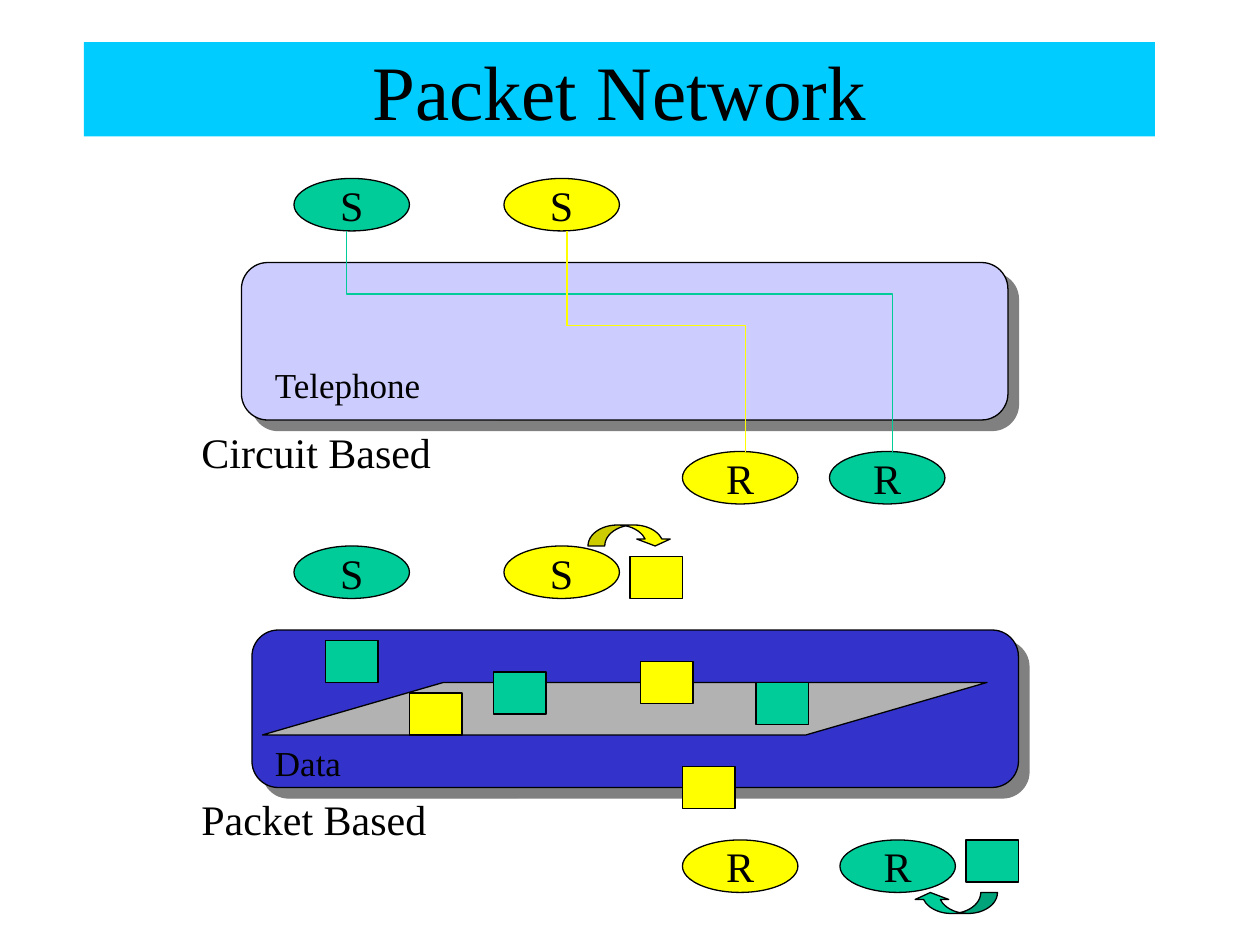
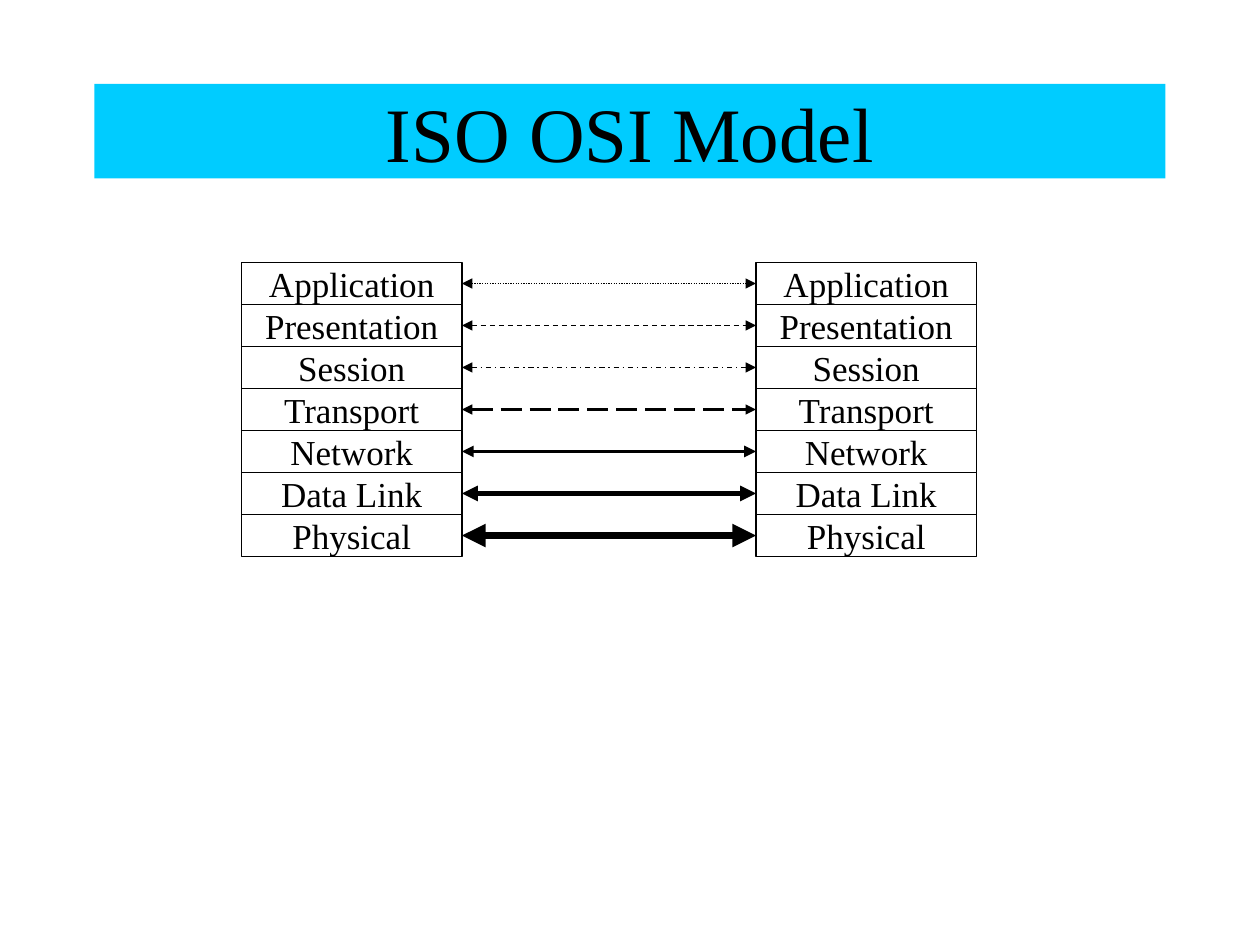
from lxml import etree
from pptx import Presentation, util as u
from pptx.dml.color import RGBColor
from pptx.enum import dml, shapes, text
from pptx.oxml.ns import qn

GRID = u.Inches(1) // 12  # all places and sizes below are in grid squares
COLS, ROWS = 120, 90
FONT = "Times New Roman"
COLORS = dict(band="00CCFF", green="00CC99", yellow="FFFF00", telephone="CCCCFF",
              data="3333CC", gray="B2B2B2", shadow="808080", white="FFFFFF", black="000000")
SHAPE, DASH = shapes.MSO_SHAPE, dml.MSO_LINE
TITLE, NODE, PACKET, LAYER, ARROW = (102, 9), (11, 5), (5, 4), (21, 4), (8, 2)

# Slide 1
PANELS = [("data", 24, 60, 73, 15), ("telephone", 23, 25, 73, 15)]
NODES = {"S": [("green", 28, 17), ("yellow", 48, 17), ("green", 28, 52), ("yellow", 48, 52)],
         "R": [("yellow", 65, 43), ("green", 79, 43), ("yellow", 65, 80), ("green", 80, 80)]}
CIRCUITS = [("green", 33, 28, 85), ("yellow", 54, 31, 71)]  # start column, bend row, end column
CIRCUIT_TOP, CIRCUIT_BOTTOM = 22, 43
CHANNEL = (25, 65, 69, 5)
PACKETS = {"green": [(92, 80), (31, 61), (47, 64), (72, 65)],
           "yellow": [(65, 73), (60, 53), (39, 66), (61, 63)]}
LABELS = [("Circuit Based", 18, 40, 26, 24), ("Packet Based", 18, 75, 26, 24),
          ("Telephone", 25, 34, 18, 20), ("Data", 25, 70, 10, 20)]
SEND_ARROWS = [("yellow", 56, 50, 0), ("green", 87, 85, 180)]  # last: rotation

# Slide 2: layer, line width, dash
LAYERS = [("Application", 0.75, DASH.ROUND_DOT), ("Presentation", 0.75, DASH.DASH),
          ("Session", 0.75, DASH.DASH_DOT), ("Transport", 1.5, DASH.LONG_DASH),
          ("Network", 2.25, None), ("Data Link", 3, None), ("Physical", 4.5, None)]
STACK_COLUMNS, STACK_TOP = (23, 72), 25


def rgb(name):
    return RGBColor.from_string(COLORS[name])


def grid(*squares):
    return [n * GRID for n in squares]


def write(sp, words, size, align=text.PP_ALIGN.CENTER, anchor=text.MSO_ANCHOR.MIDDLE, wrap=False):
    tf = sp.text_frame
    tf.word_wrap, tf.vertical_anchor = wrap, anchor
    p = tf.paragraphs[0]
    p.alignment = align
    r = p.add_run()
    r.text = words
    for key, value in dict(name=FONT, size=u.Pt(size)).items():
        setattr(r.font, key, value)
    r.font.color.rgb = rgb("black")


def stroke(line, color="black", width=0.75):
    line.color.rgb = rgb(color)
    line.width = u.Pt(width)


def add_block(s, kind, color, x, y, w, h, outlined=True, adjust=()):
    sp = s.shapes.add_shape(kind, *grid(x, y, w, h))
    sp.shadow.inherit = False
    sp.fill.solid()
    sp.fill.fore_color.rgb = rgb(color)
    if outlined:
        stroke(sp.line)
    else:
        sp.line.fill.background()
    for i, value in enumerate(adjust):
        sp.adjustments[i] = value
    return sp


def drop_shadow(sp):
    effects = sp._element.spPr.find(qn("a:effectLst"))
    shadow = etree.SubElement(effects, qn("a:outerShdw"), dist=str(u.Pt(8.5)),
                              dir=str(45 * 60000), algn="ctr", rotWithShape="0")
    etree.SubElement(shadow, qn("a:srgbClr"), val=COLORS["shadow"])


def add_circuit(s, color, start, bend, end):
    path = s.shapes.build_freeform(start, CIRCUIT_TOP, scale=GRID)
    path.add_line_segments([(start, bend), (end, bend), (end, CIRCUIT_BOTTOM)], close=False)
    sp = path.convert_to_shape()
    sp.shadow.inherit = False
    sp.fill.background()
    stroke(sp.line, color)


def add_double_arrow(s, x1, x2, y, width, dash):
    line = s.shapes.add_connector(shapes.MSO_CONNECTOR.STRAIGHT, *grid(x1, y, x2, y))
    stroke(line.line, width=width)
    if dash:
        line.line.dash_style = dash
    for end in ("headEnd", "tailEnd"):
        etree.SubElement(line.line._get_or_add_ln(), qn(f"a:{end}"), type="triangle")
    etree.SubElement(line._element.spPr, qn("a:effectLst"))


def add_titled_slide(prs, title, x, y):
    s = prs.slides.add_slide(prs.slide_layouts[6])
    write(add_block(s, SHAPE.RECTANGLE, "band", x, y, *TITLE, outlined=False), title, 44, wrap=True)
    return s


def packet_network(prs):
    s = add_titled_slide(prs, "Packet Network", 8, 4)
    for panel in PANELS:
        drop_shadow(add_block(s, SHAPE.ROUNDED_RECTANGLE, *panel, adjust=[0.167]))
    for letter, nodes in NODES.items():
        for node in nodes:
            write(add_block(s, SHAPE.OVAL, *node, *NODE), letter, 24)
    for circuit in CIRCUITS:
        add_circuit(s, *circuit)
    add_block(s, SHAPE.PARALLELOGRAM, "gray", *CHANNEL, adjust=[3.448])
    for color, places in PACKETS.items():
        for place in places:
            add_block(s, SHAPE.RECTANGLE, color, *place, *PACKET)
    for words, x, y, w, size in LABELS:
        box = s.shapes.add_textbox(*grid(x, y, w, size // 4))
        write(box, words, size, text.PP_ALIGN.LEFT, text.MSO_ANCHOR.TOP, wrap=True)
    for color, x, y, turn in SEND_ARROWS:
        arrow = add_block(s, SHAPE.CURVED_DOWN_ARROW, color, x, y, *ARROW, adjust=[0.8, 1.6, 0.33])
        arrow.rotation = turn


def osi_model(prs):
    s = add_titled_slide(prs, "ISO OSI Model", 9, 8)
    left, right = STACK_COLUMNS
    w, h = LAYER
    for row, (layer, width, dash) in enumerate(LAYERS):
        y = STACK_TOP + row * h
        for x in STACK_COLUMNS:
            write(add_block(s, SHAPE.RECTANGLE, "white", x, y, w, h), layer, 20)
        add_double_arrow(s, left + w, right, y + h // 2, width, dash)


def main():
    prs = Presentation()
    prs.slide_width, prs.slide_height = grid(COLS, ROWS)
    packet_network(prs)
    osi_model(prs)
    prs.save("out.pptx")


if __name__ == "__main__":
    main()
